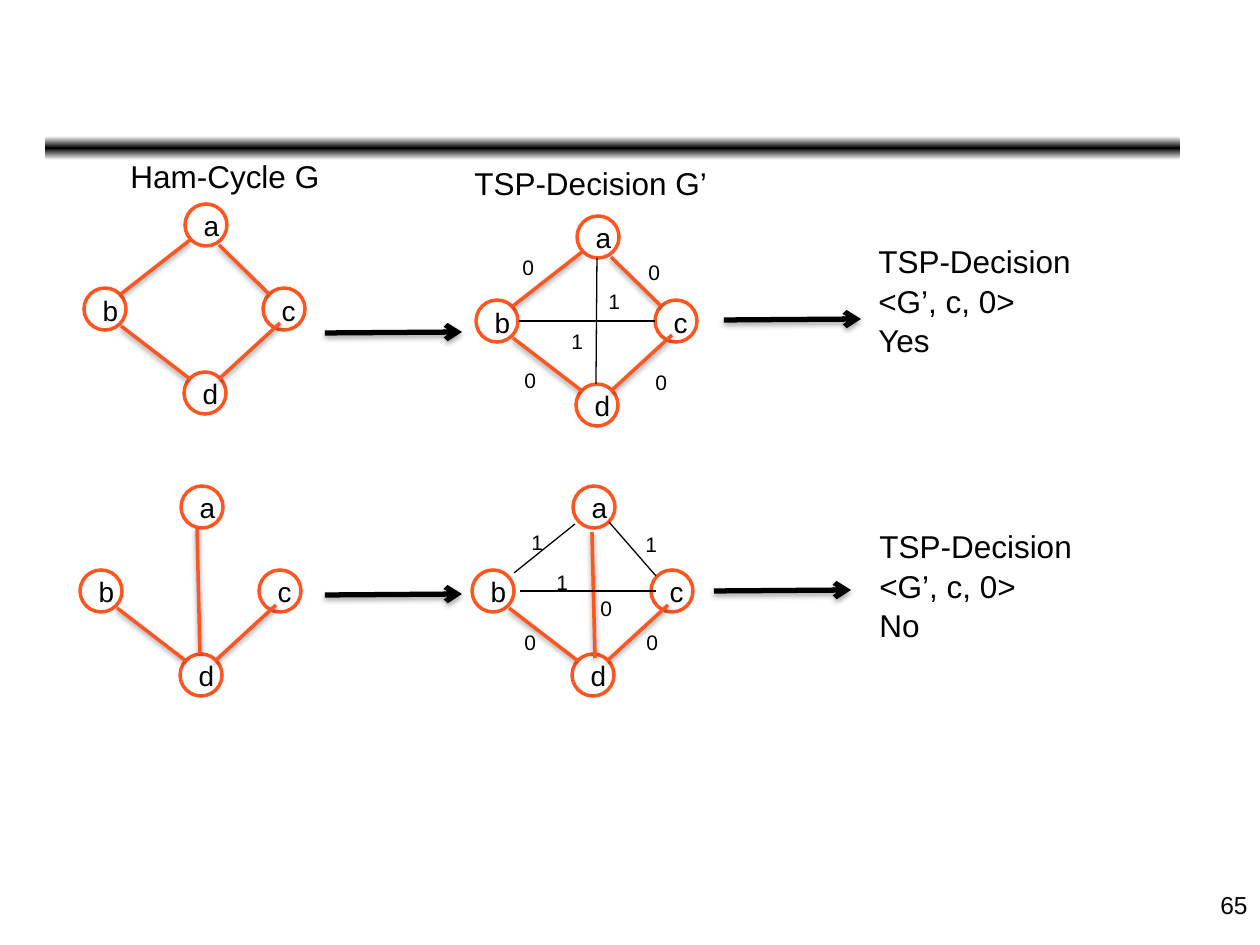
import copy
import dataclasses

import pptx
import pptx.dml.color
import pptx.enum.shapes
import pptx.enum.text
import pptx.oxml
import pptx.oxml.ns
import pptx.util

PX_PER_INCH = 126
SHAPES = pptx.enum.shapes.MSO_SHAPE
ALIGN = pptx.enum.text.PP_ALIGN
ANCHOR = pptx.enum.text.MSO_ANCHOR
NS = pptx.oxml.ns.nsdecls("a")


def px(*lengths):
    return [pptx.util.Inches(length / PX_PER_INCH) for length in lengths]


def rgb(code):
    return pptx.dml.color.RGBColor.from_string(code)


def assign(target, values):
    for name, value in values.items():
        setattr(target, name, value)


@dataclasses.dataclass(frozen=True)
class Theme:
    font: str = "Arial"
    ink: str = "000000"
    paper: str = "FFFFFF"
    accent: str = "FF5621"
    weight_size: int = 12
    number_size: int = 14
    node_size: int = 16
    text_size: int = 18
    hair: float = 0.75
    edge: float = 2
    arrow: float = 3
    spacing: float = 1.05


class Deck:
    def __init__(self, theme, slide):
        self.theme = theme
        self.shapes = slide.shapes

    def set_text(self, frame, lines, size, align=ALIGN.LEFT, **frame_format):
        assign(frame, {"word_wrap": False, **frame_format})
        for index, line in enumerate(lines):
            paragraph = frame.add_paragraph() if index else frame.paragraphs[0]
            paragraph.text = line
            assign(paragraph, {"alignment": align, "line_spacing": self.theme.spacing})
            assign(paragraph.font, {"name": self.theme.font, "size": pptx.util.Pt(size)})
            paragraph.font.color.rgb = rgb(self.theme.ink)

    def text(self, box, lines, size, **text_format):
        frame = self.shapes.add_textbox(*px(*box)).text_frame
        self.set_text(frame, lines, size, **text_format)

    def bar(self, box):
        bar = self.shapes.add_shape(SHAPES.ROUNDED_RECTANGLE, *px(*box))
        bar.shadow.inherit = False
        bar.line.fill.background()
        bar.fill.gradient()
        bar.fill.gradient_angle = 90
        stops = bar._element.spPr.find(".//" + pptx.oxml.ns.qn("a:gsLst"))
        stops.insert(1, copy.deepcopy(stops[0]))
        shades = [(0, self.theme.paper), (0.5, self.theme.ink), (1, self.theme.paper)]
        for stop, (position, shade) in zip(bar.fill.gradient_stops, shades):
            stop.position = position
            stop.color.rgb = rgb(shade)

    def node(self, box, letter):
        node = self.shapes.add_shape(SHAPES.OVAL, *px(*box))
        node.shadow.inherit = False
        node.fill.solid()
        node.fill.fore_color.rgb = rgb(self.theme.paper)
        node.line.color.rgb = rgb(self.theme.accent)
        node.line.width = pptx.util.Pt(self.theme.edge)
        self.set_text(node.text_frame, [letter], self.theme.node_size,
                      vertical_anchor=ANCHOR.MIDDLE)

    def line(self, ends, color, width, shadow=None, head=False):
        line = self.shapes.add_connector(
            pptx.enum.shapes.MSO_CONNECTOR.STRAIGHT, *px(*ends))
        line.line.color.rgb = rgb(color)
        line.line.width = pptx.util.Pt(width)
        properties = line._element.spPr
        if head:
            properties.find(pptx.oxml.ns.qn("a:ln")).append(
                pptx.oxml.parse_xml(f'<a:tailEnd {NS} type="arrow"/>'))
        effect = ""
        if shadow:
            distance, alpha = shadow
            effect = (
                f'<a:outerShdw blurRad="40000" dist="{distance}" dir="5400000" rotWithShape="0">'
                f'<a:srgbClr val="{self.theme.ink}"><a:alpha val="{alpha}"/></a:srgbClr>'
                '</a:outerShdw>')
        properties.append(
            pptx.oxml.parse_xml(f"<a:effectLst {NS}>{effect}</a:effectLst>"))

    def edge(self, ends):
        self.line(ends, self.theme.accent, self.theme.edge, shadow=(20000, 38000))

    def hairline(self, ends):
        self.line(ends, self.theme.ink, self.theme.hair)

    def arrow(self, ends):
        self.line(ends, self.theme.ink, self.theme.arrow, shadow=(23000, 35000), head=True)

    def graph(self, left, top, edges, hairlines=(), weights=()):
        def place(ends):
            x1, y1, x2, y2 = ends
            return left + x1, top + y1, left + x2, top + y2

        for letter, (x, y) in NODES.items():
            self.node((left + x, top + y, 42, 42), letter)
        for ends in edges:
            self.edge(place(ends))
        for ends in hairlines:
            self.hairline(place(ends))
        for weight, x, y in weights:
            self.text((left + x, top + y, 37, 38), [weight], self.theme.weight_size)


NODES = {"a": (101, 0), "c": (179, 84), "d": (100, 168), "b": (0, 84)}
AB = (37, 90, 106, 36)
AC = (135, 41, 185, 90)
BD = (37, 122, 106, 175)
DC = (135, 175, 196, 119)
CYCLE = [AB, AC, BD, DC]

GRAPHS = [
    dict(left=476, top=216, edges=CYCLE,
         hairlines=[(43, 105, 179, 105), (121, 42, 120, 168)],
         weights=[("0", 34, 31), ("1", 120, 65), ("0", 167, 146),
                  ("0", 36, 144), ("0", 160, 36), ("1", 83, 105)]),
    dict(left=84, top=204, edges=CYCLE),
    dict(left=80, top=486, edges=[BD, DC, (117, 42, 120, 168)]),
    dict(left=472, top=486, edges=[BD, DC, (120, 46, 123, 172)],
         hairlines=[(48, 105, 184, 105), (137, 36, 184, 90), (42, 87, 103, 38)],
         weights=[("0", 40, 136), ("0", 162, 136), ("0", 116, 102),
                  ("1", 72, 76), ("1", 47, 36), ("1", 161, 38)]),
]
ARROWS = [(325, 333, 462, 332), (724, 320, 861, 319),
          (325, 595, 462, 594), (714, 591, 851, 590)]
CAPTIONS = [((118, 149, 237, 55), "Ham-Cycle G"),
            ((462, 156, 287, 55), "TSP-Decision G’")]
ANSWERS = [((866, 234, 252, 140), "Yes"), ((867, 519, 252, 140), "No")]


def main():
    presentation = pptx.Presentation()
    assign(presentation, dict(zip(("slide_width", "slide_height"), px(1260, 945))))
    theme = Theme()
    deck = Deck(theme, presentation.slides.add_slide(presentation.slide_layouts[6]))

    deck.bar((45, 136, 1135, 24))
    deck.text((966, 882, 294, 50), ["65"], theme.number_size,
              align=ALIGN.RIGHT, word_wrap=True)
    for graph in GRAPHS:
        deck.graph(**graph)
    for ends in ARROWS:
        deck.arrow(ends)
    for box, caption in CAPTIONS:
        deck.text(box, [caption], theme.text_size)
    for box, answer in ANSWERS:
        deck.text(box, ["TSP-Decision", "<G’, c, 0>", answer], theme.text_size)

    presentation.save("out.pptx")


if __name__ == "__main__":
    main()
